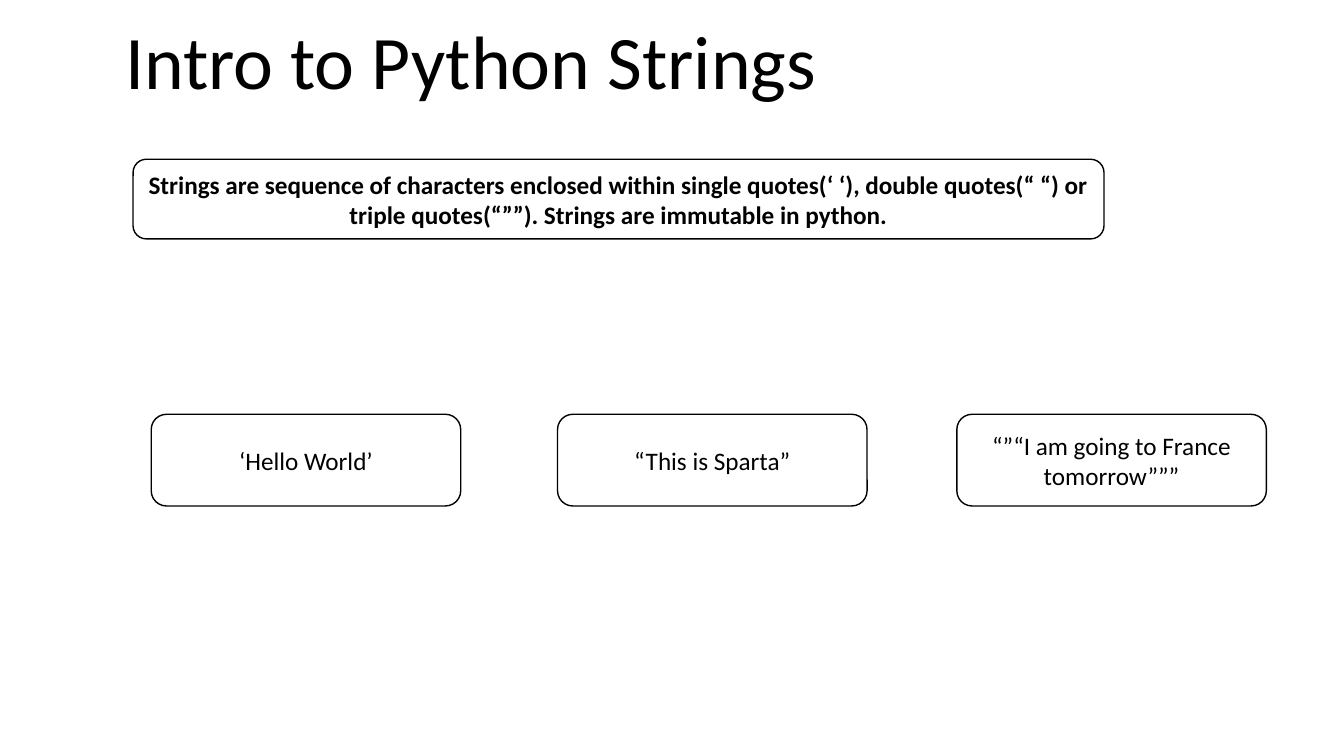
from pptx import Presentation
from pptx import util as u
from pptx.dml.color import RGBColor
from pptx.enum import shapes, text

COLOURS = {"ink": "000000", "paper": "FFFFFF"}
INK = RGBColor.from_string(COLOURS["ink"])
PAPER = RGBColor.from_string(COLOURS["paper"])
FONT = "Calibri"

deck = Presentation()
deck.slide_width, deck.slide_height = u.Inches(13.33), u.Inches(7.5)
page = deck.slides.add_slide(deck.slide_layouts[5])
page.background.fill.solid()
page.background.fill.fore_color.rgb = PAPER

# Title
title = page.shapes.title
title.left, title.top = u.Inches(1.14), u.Inches(0.83)
title.width, title.height = u.Inches(8.84), u.Inches(0.27)
frame = title.text_frame
frame.text = "Intro to Python Strings"
frame.word_wrap = True
frame.auto_size = text.MSO_AUTO_SIZE.NONE
frame.vertical_anchor = text.MSO_ANCHOR.BOTTOM
para = frame.paragraphs[0]
para.alignment = text.PP_ALIGN.LEFT
para.line_spacing = 0.9
para.font.name, para.font.size = FONT, u.Pt(54)
para.font.color.rgb = INK


def add_card(left, top, width, height, words, bold=False):
    """Add an outlined, rounded box with centred text."""
    box = page.shapes.add_shape(
        shapes.MSO_SHAPE.ROUNDED_RECTANGLE,
        u.Inches(left), u.Inches(top), u.Inches(width), u.Inches(height))
    box.shadow.inherit = False
    box.fill.solid()
    box.fill.fore_color.rgb = PAPER
    box.line.color.rgb = INK
    box.line.width = u.Pt(1)
    box.text_frame.text = words
    box.text_frame.word_wrap = True
    box.text_frame.vertical_anchor = text.MSO_ANCHOR.MIDDLE
    para = box.text_frame.paragraphs[0]
    para.alignment = text.PP_ALIGN.CENTER
    para.font.name, para.font.size, para.font.bold = FONT, u.Pt(18), bold
    para.font.color.rgb = INK


# Definition
add_card(1.32, 1.58, 9.63, 0.79,
         "Strings are sequence of characters enclosed within single quotes(‘ ‘), "
         "double quotes(“ “) or triple quotes(“””). Strings are immutable in python.",
         bold=True)

# One example for each kind of quote
examples = [
    (1.5, "‘Hello World’"),
    (5.53, "“This is Sparta”"),
    (9.49, "“”“I am going to France tomorrow”””"),
]
for left, words in examples:
    add_card(left, 4.11, 3.07, 0.91, words)

deck.save("out.pptx")
